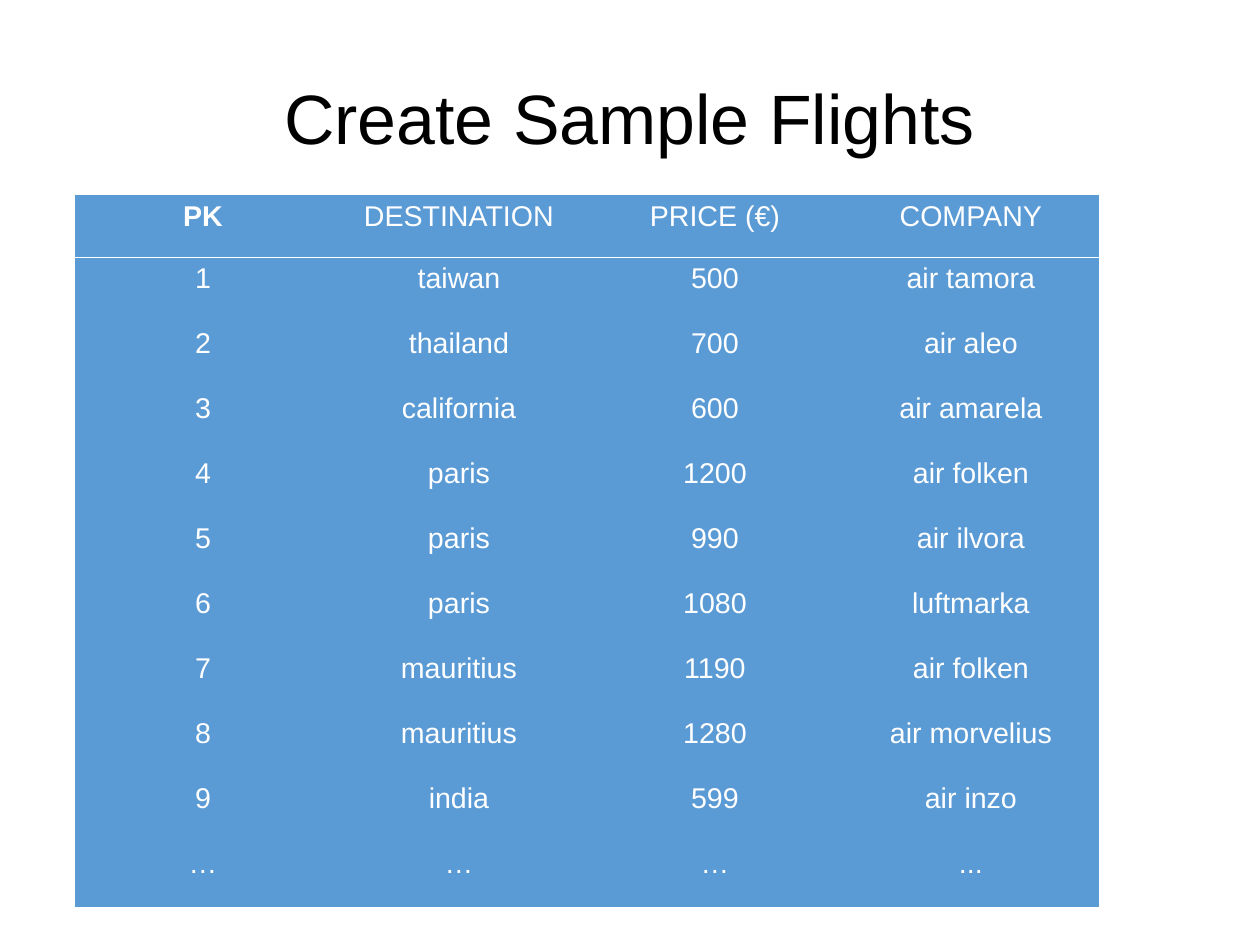
"""Build a slide with a table of sample flights."""
from lxml import etree
from pptx import Presentation
from pptx import util as u
from pptx.dml.color import RGBColor
from pptx.enum import text
from pptx.oxml.ns import qn

PX = 8000
THEME = {
    "font": "Arial",
    "title": RGBColor(0, 0, 0),
    "cell_text": RGBColor(255, 255, 255),
    "cell_fill": RGBColor(0x5B, 0x9B, 0xD5),
    "title_size": u.Pt(44),
    "cell_size": u.Pt(18),
}
PLAIN_STYLE = "{2D5ABB26-0587-4C30-8999-92F81FD0307C}"
FLIGHTS = [
    ("PK", "DESTINATION", "PRICE (€)", "COMPANY"),
    ("1", "taiwan", "500", "air tamora"),
    ("2", "thailand", "700", "air aleo"),
    ("3", "california", "600", "air amarela"),
    ("4", "paris", "1200", "air folken"),
    ("5", "paris", "990", "air ilvora"),
    ("6", "paris", "1080", "luftmarka"),
    ("7", "mauritius", "1190", "air folken"),
    ("8", "mauritius", "1280", "air morvelius"),
    ("9", "india", "599", "air inzo"),
    ("…", "…", "…", "..."),
]
HEADER_HEIGHT, FLIGHT_HEIGHT, COLUMN_WIDTH = 62, 65, 256


def format_line(paragraph, size, color):
    """Centre a paragraph and set its font."""
    paragraph.alignment = text.PP_ALIGN.CENTER
    paragraph.font.name = THEME["font"]
    paragraph.font.size = size
    paragraph.font.color.rgb = color


def add_border(cell, side, color):
    """Draw a half-point line on one side of a cell."""
    line = etree.Element(qn(f"a:{side}"), w=str(u.Pt(0.5)))
    fill = etree.SubElement(line, qn("a:solidFill"))
    etree.SubElement(fill, qn("a:srgbClr"), val=str(color))
    properties = cell._tc.get_or_add_tcPr()
    properties.insert(len(properties) - 1, line)


deck = Presentation()
deck.slide_width, deck.slide_height = 1260 * PX, 945 * PX
slide = deck.slides.add_slide(deck.slide_layouts[5])

title = slide.shapes.title
title.left, title.top, title.width, title.height = 63 * PX, 38 * PX, 1134 * PX, 158 * PX
title.text = "Create Sample Flights"
frame = title.text_frame
frame.margin_left = frame.margin_top = frame.margin_right = frame.margin_bottom = 0
frame.vertical_anchor = text.MSO_ANCHOR.MIDDLE
format_line(frame.paragraphs[0], THEME["title_size"], THEME["title"])

table_height = HEADER_HEIGHT + FLIGHT_HEIGHT * (len(FLIGHTS) - 1)
flights = slide.shapes.add_table(
    len(FLIGHTS), len(FLIGHTS[0]), 75 * PX, 195 * PX,
    COLUMN_WIDTH * len(FLIGHTS[0]) * PX, table_height * PX,
).table
flights.horz_banding = False
flights._tbl.tblPr.find(qn("a:tableStyleId")).text = PLAIN_STYLE

for row, flight in enumerate(FLIGHTS):
    flights.rows[row].height = (FLIGHT_HEIGHT if row else HEADER_HEIGHT) * PX
    for column, value in enumerate(flight):
        cell = flights.cell(row, column)
        cell.text = value
        cell.fill.solid()
        cell.fill.fore_color.rgb = THEME["cell_fill"]
        entry = cell.text_frame.paragraphs[0]
        format_line(entry, THEME["cell_size"], THEME["cell_text"])
        entry.font.bold = value == "PK"
        if row == 0:
            for side in ("lnL", "lnR", "lnT"):
                add_border(cell, side, THEME["cell_fill"])
            add_border(cell, "lnB", THEME["cell_text"])

deck.save("out.pptx")
